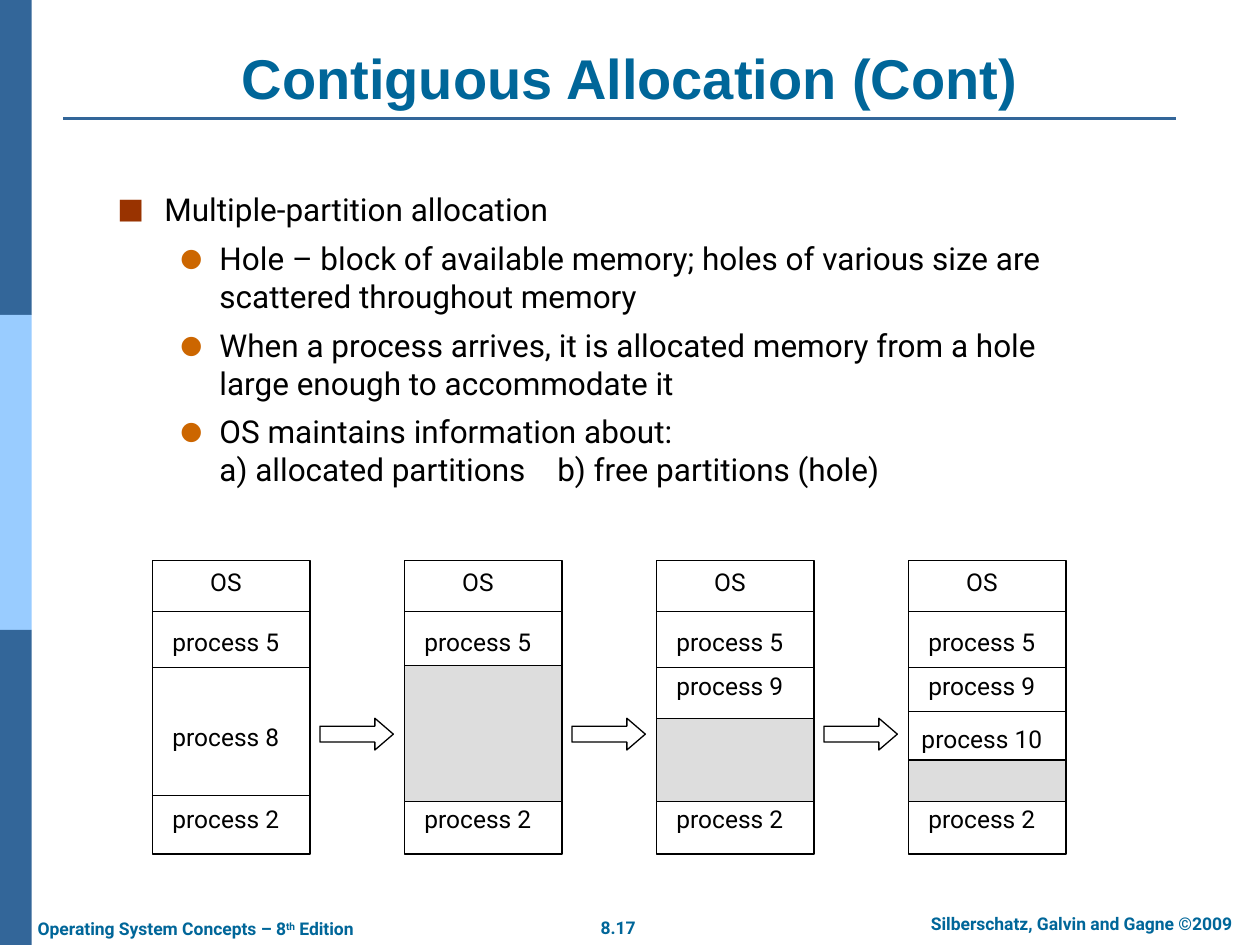
import pptx
import pptx.util
import pptx.dml.color
import pptx.enum.shapes
import pptx.enum.text
import pptx.oxml
import pptx.oxml.ns

Cm = pptx.util.Cm
Pt = pptx.util.Pt
Shape = pptx.enum.shapes.MSO_SHAPE
Align = pptx.enum.text.PP_ALIGN
Anchor = pptx.enum.text.MSO_ANCHOR

HUES = {
    "title": "006699",
    "bar": "336699",
    "light": "99CCFF",
    "ink": "000000",
    "paper": "FFFFFF",
    "hole": "DDDDDD",
    "square": "993300",
    "dot": "CC6600",
}
FACE = "Roboto"
WIDE = 3.18
TOP = 11.3
FLOOR = 16.16
RULES = [12.32, 13.46, 16.03]
SHARED = [("OS", 11.3), ("process 5", 12.52), ("process 2", 16.08)]
STAGES = [
    {"labels": [("process 8", 14.43)]},
    {"hole": 13.41},
    {"labels": [("process 9", 13.41)], "hole": 14.48},
    {"labels": [("process 9", 13.41), ("process 10", 14.48)],
     "hole": 15.32, "rules": [14.35]},
]
POINTS = [
    (0, "Multiple-partition allocation"),
    (1, "Hole – block of available memory; holes of various size are scattered throughout memory"),
    (1, "When a process arrives, it is allocated memory from a hole large enough to accommodate it"),
    (1, "OS maintains information about:\na) allocated partitions\tb) free partitions (hole)"),
]
MARKS = [("■", "square", 90, 0.95, -0.95), ("●", "dot", 80, 2.06, -0.79)]


def rgb(hue):
    return pptx.dml.color.RGBColor.from_string(HUES[hue])


def place(shape, x, y, w, h):
    shape.left, shape.top, shape.width, shape.height = Cm(x), Cm(y), Cm(w), Cm(h)


def style(para, size, hue, bold=False, face=FACE):
    for run in para.runs:
        run.font.size = Pt(size)
        run.font.name = face
        run.font.bold = bold
        run.font.color.rgb = rgb(hue)


def add_block(slide, kind, x, y, w, h, fill, line=None):
    block = slide.shapes.add_shape(kind, Cm(x), Cm(y), Cm(w), Cm(h))
    block.shadow.inherit = False
    block.fill.solid()
    block.fill.fore_color.rgb = rgb(fill)
    if line:
        block.line.color.rgb = rgb(line)
        block.line.width = Pt(0.75)
    else:
        block.line.fill.background()
    return block


def add_rule(slide, x, y, w, hue, width):
    rule = slide.shapes.add_connector(
        pptx.enum.shapes.MSO_CONNECTOR.STRAIGHT, Cm(x), Cm(y), Cm(x + w), Cm(y))
    rule.line.color.rgb = rgb(hue)
    rule.line.width = Pt(width)
    props = rule._element.spPr
    props.append(props.makeelement(pptx.oxml.ns.qn("a:effectLst"), {}))


def add_label(slide, x, y, w, h, parts, size, hue, bold=False,
              align=Align.CENTER, anchor=Anchor.TOP):
    frame = slide.shapes.add_textbox(Cm(x), Cm(y), Cm(w), Cm(h)).text_frame
    frame.word_wrap = True
    frame.vertical_anchor = anchor
    frame.margin_left = frame.margin_right = 0
    para = frame.paragraphs[0]
    para.alignment = align
    for part in parts:
        para.add_run().text = part
    style(para, size, hue, bold)
    return para


def add_bullet(para, level):
    char, hue, size, left, hang = MARKS[level]
    props = para._p.get_or_add_pPr()
    props.set("marL", str(Cm(left)))
    props.set("indent", str(Cm(hang)))
    space = pptx.oxml.ns.nsdecls("a")
    for xml in (
        f'<a:buClr {space}><a:srgbClr val="{HUES[hue]}"/></a:buClr>',
        f'<a:buSzPct {space} val="{size * 1000}"/>',
        f'<a:buFont {space} typeface="{FACE}"/>',
        f'<a:buChar {space} char="{char}"/>',
    ):
        props.append(pptx.oxml.parse_xml(xml))
    if "\t" in para.text:
        props.append(pptx.oxml.parse_xml(
            f'<a:tabLst {space}><a:tab pos="{Cm(8.87)}" algn="l"/></a:tabLst>'))


def fill_title(slide):
    title = slide.shapes.title
    place(title, 1.27, 0.76, 22.86, 1.6)
    frame = title.text_frame
    frame.text = "Contiguous Allocation (Cont)"
    frame.vertical_anchor = Anchor.BOTTOM
    frame.auto_size = pptx.enum.text.MSO_AUTO_SIZE.NONE
    frame.paragraphs[0].alignment = Align.CENTER
    style(frame.paragraphs[0], 32, "title", True, "Arial")


def fill_body(slide):
    body = slide.placeholders[1]
    place(body, 2.11, 3.71, 20.42, 7.24)
    frame = body.text_frame
    frame.auto_size = pptx.enum.text.MSO_AUTO_SIZE.NONE
    for spot, (level, text) in enumerate(POINTS):
        para = frame.add_paragraph() if spot else frame.paragraphs[0]
        para.text = text
        para.level = level
        add_bullet(para, level)
        para.space_before = Pt(6.3 if spot else 0)
        style(para, 18, "ink")


def add_frame(slide):
    for spot, hue in enumerate(["bar", "light", "bar"]):
        add_block(slide, Shape.RECTANGLE, 0, spot * 6.35, 0.64, 6.35, hue)
    add_rule(slide, 1.27, 2.39, 22.43, "bar", 1.5)
    add_label(slide, 11.84, 18.36, 1.24, 0.69, ["8.17"], 10, "title", True)
    add_label(slide, 18.03, 18.29, 7.54, 0.69,
              ["Silberschatz, Galvin and Gagne ©2009"], 10, "title", True)
    book = add_label(slide, 0.76, 18.39, 6.8, 0.69,
                     ["Operating System Concepts – 8", "th", " Edition"],
                     10, "title", True, Align.LEFT)
    book.runs[1]._r.get_or_add_rPr().set("baseline", "30000")


def add_stage(slide, x, stage):
    add_block(slide, Shape.RECTANGLE, x, TOP, WIDE, 5.92, "paper", "ink")
    for y in RULES + stage.get("rules", []):
        add_rule(slide, x, y, WIDE, "ink", 0.75)
    if "hole" in stage:
        y = stage["hole"]
        add_block(slide, Shape.RECTANGLE, x, y, WIDE, FLOOR - y, "hole", "ink")
    for text, y in SHARED + stage.get("labels", []):
        add_label(slide, x, y, 2.97, 0.84, [text], 14, "ink", anchor=Anchor.MIDDLE)


def add_arrow(slide, x):
    arrow = add_block(slide, Shape.RIGHT_ARROW, x, 14.48, 1.48, 0.64, "paper", "ink")
    arrow.adjustments[0] = 0.5
    arrow.adjustments[1] = 0.58


def main():
    deck = pptx.Presentation()
    deck.slide_width, deck.slide_height = Cm(25.4), Cm(19.05)
    slide = deck.slides.add_slide(deck.slide_layouts[1])
    add_frame(slide)
    fill_title(slide)
    fill_body(slide)
    for spot, stage in enumerate(STAGES):
        x = 3.07 + spot * 5.08
        add_stage(slide, x, stage)
        if spot < len(STAGES) - 1:
            add_arrow(slide, x + 3.38)
    deck.save("out.pptx")


if __name__ == "__main__":
    main()
